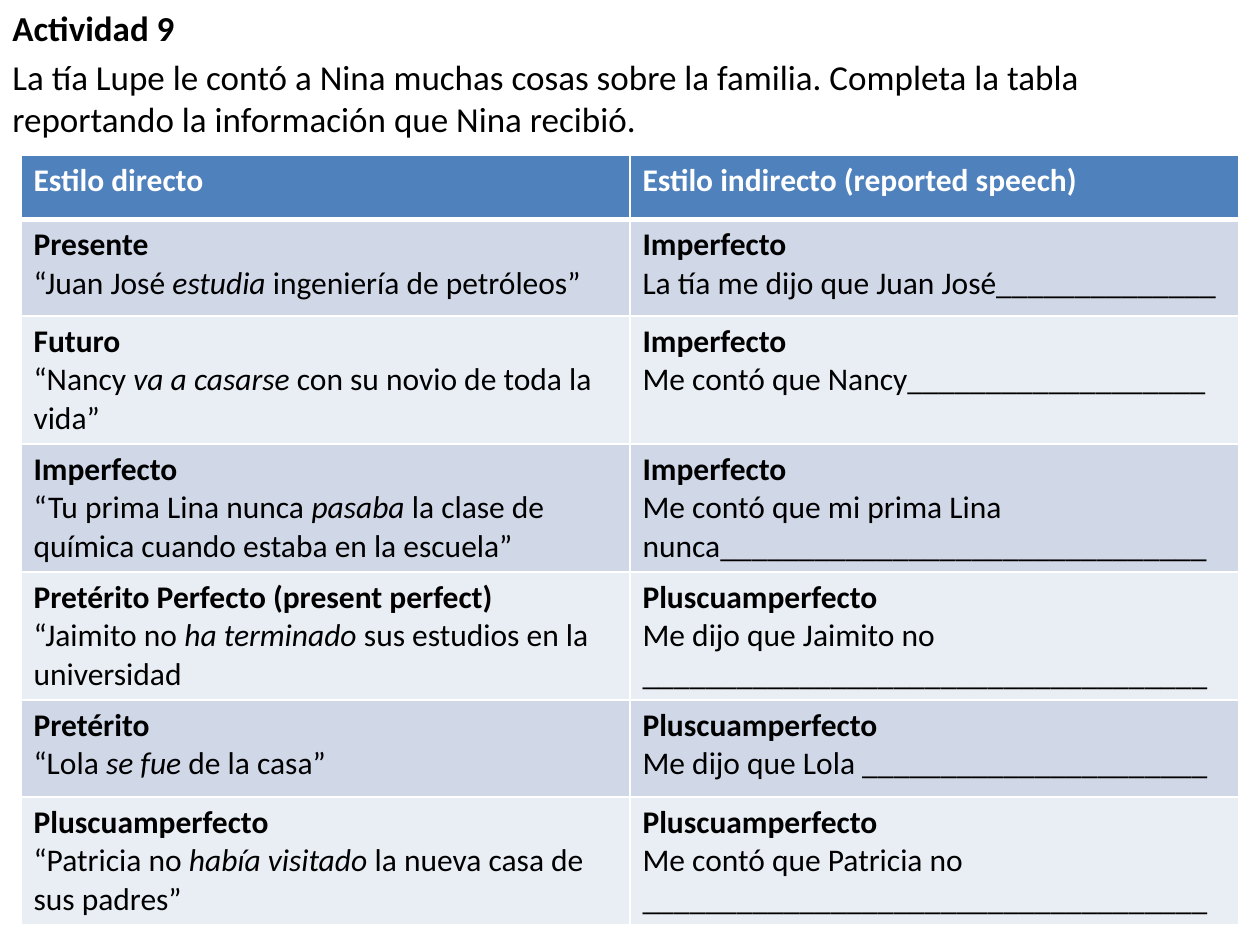
from lxml.etree import SubElement
from pptx import Presentation
from pptx.dml.color import RGBColor
from pptx.oxml.ns import qn
from pptx.util import Pt

BLACK, WHITE, HEADER_BLUE = "000000", "FFFFFF", "4F81BD"
BANDS = ("D0D8E8", "E9EDF4")
COLUMN_WIDTH = 348
HEADER_HEIGHT, TWO_LINES, THREE_LINES = 36.8, 55.3, 73.2

INSTRUCTION = (
    "La tía Lupe le contó a Nina muchas cosas sobre la familia. "
    "Completa la tabla reportando la información que Nina recibió."
)
HEADINGS = ("Estilo directo", "Estilo indirecto (reported speech)")
# Row height, then tense and sentence for each style; asterisks enclose italics.
EXERCISES = [
    (TWO_LINES,
     ("Presente", "“Juan José *estudia *ingeniería de petróleos”"),
     ("Imperfecto", "La tía me dijo que Juan José" + "_" * 14)),
    (THREE_LINES,
     ("Futuro", "“Nancy *va a casarse *con su novio de toda la vida”"),
     ("Imperfecto", "Me contó que Nancy" + "_" * 19)),
    (THREE_LINES,
     ("Imperfecto", "“Tu prima Lina nunca *pasaba* la clase de química cuando estaba en la escuela”"),
     ("Imperfecto", "Me contó que mi prima Lina nunca" + "_" * 31)),
    (THREE_LINES,
     ("Pretérito Perfecto (present perfect)", "“Jaimito no *ha terminado *sus estudios en la universidad"),
     ("Pluscuamperfecto", "Me dijo que Jaimito no " + "_" * 36)),
    (TWO_LINES,
     ("Pretérito", "“Lola *se fue* de la casa”"),
     ("Pluscuamperfecto", "Me dijo que Lola " + "_" * 22)),
    (THREE_LINES,
     ("Pluscuamperfecto", "“Patricia no *había visitado* la nueva casa de sus padres”"),
     ("Pluscuamperfecto", "Me contó que Patricia no " + "_" * 36)),
]


def color(hex_value):
    return RGBColor.from_string(hex_value)


def add_run(paragraph, text, size, font_color=BLACK, bold=False, italic=False):
    run = paragraph.add_run()
    run.text = text
    formats = {"name": "Calibri", "size": Pt(size), "bold": bold, "italic": italic}
    for name, value in formats.items():
        setattr(run.font, name, value)
    run.font.color.rgb = color(font_color)


def add_instructions(slide):
    frame = slide.shapes.add_textbox(Pt(0), Pt(0), Pt(720), Pt(540)).text_frame
    frame.word_wrap = True
    title = frame.paragraphs[0]
    properties = title._p.get_or_add_pPr()
    properties.set("marL", str(Pt(27)))
    properties.set("indent", str(Pt(-27)))
    add_run(title, "Actividad 9", 20, bold=True)
    instruction = frame.add_paragraph()
    instruction.space_before = Pt(4)
    add_run(instruction, INSTRUCTION, 20)


def style_cell(cell, fill_color, top=1, bottom=1):
    """Give the cell white borders, then its fill, in schema order."""
    properties = cell._tc.get_or_add_tcPr()
    for side, width in {"L": 1, "R": 1, "T": top, "B": bottom}.items():
        line = SubElement(properties, qn(f"a:ln{side}"), w=str(Pt(width)))
        SubElement(SubElement(line, qn("a:solidFill")), qn("a:srgbClr"), val=WHITE)
    cell.fill.solid()
    cell.fill.fore_color.rgb = color(fill_color)


def fill_exercise_cell(cell, tense, sentence):
    frame = cell.text_frame
    add_run(frame.paragraphs[0], tense, 18, bold=True)
    paragraph = frame.add_paragraph()
    for index, part in enumerate(sentence.split("*")):
        add_run(paragraph, part, 18, italic=index % 2 == 1)


def add_exercise_table(slide):
    heights = [HEADER_HEIGHT] + [exercise[0] for exercise in EXERCISES]
    table = slide.shapes.add_table(
        len(heights), len(HEADINGS), Pt(12), Pt(88.5),
        Pt(COLUMN_WIDTH * len(HEADINGS)), Pt(sum(heights)),
    ).table
    for column in table.columns:
        column.width = Pt(COLUMN_WIDTH)
    for row, height in zip(table.rows, heights):
        row.height = Pt(height)
    for column, heading in enumerate(HEADINGS):
        cell = table.cell(0, column)
        style_cell(cell, HEADER_BLUE, bottom=3)
        add_run(cell.text_frame.paragraphs[0], heading, 18, WHITE, bold=True)
    for row, (_, *styles) in enumerate(EXERCISES, start=1):
        for column, (tense, sentence) in enumerate(styles):
            cell = table.cell(row, column)
            style_cell(cell, BANDS[(row - 1) % 2], top=3 if row == 1 else 1)
            fill_exercise_cell(cell, tense, sentence)


def main():
    presentation = Presentation()
    presentation.slide_width, presentation.slide_height = Pt(720), Pt(540)
    slide = presentation.slides.add_slide(presentation.slide_layouts[6])
    add_instructions(slide)
    add_exercise_table(slide)
    presentation.save("out.pptx")


if __name__ == "__main__":
    main()
